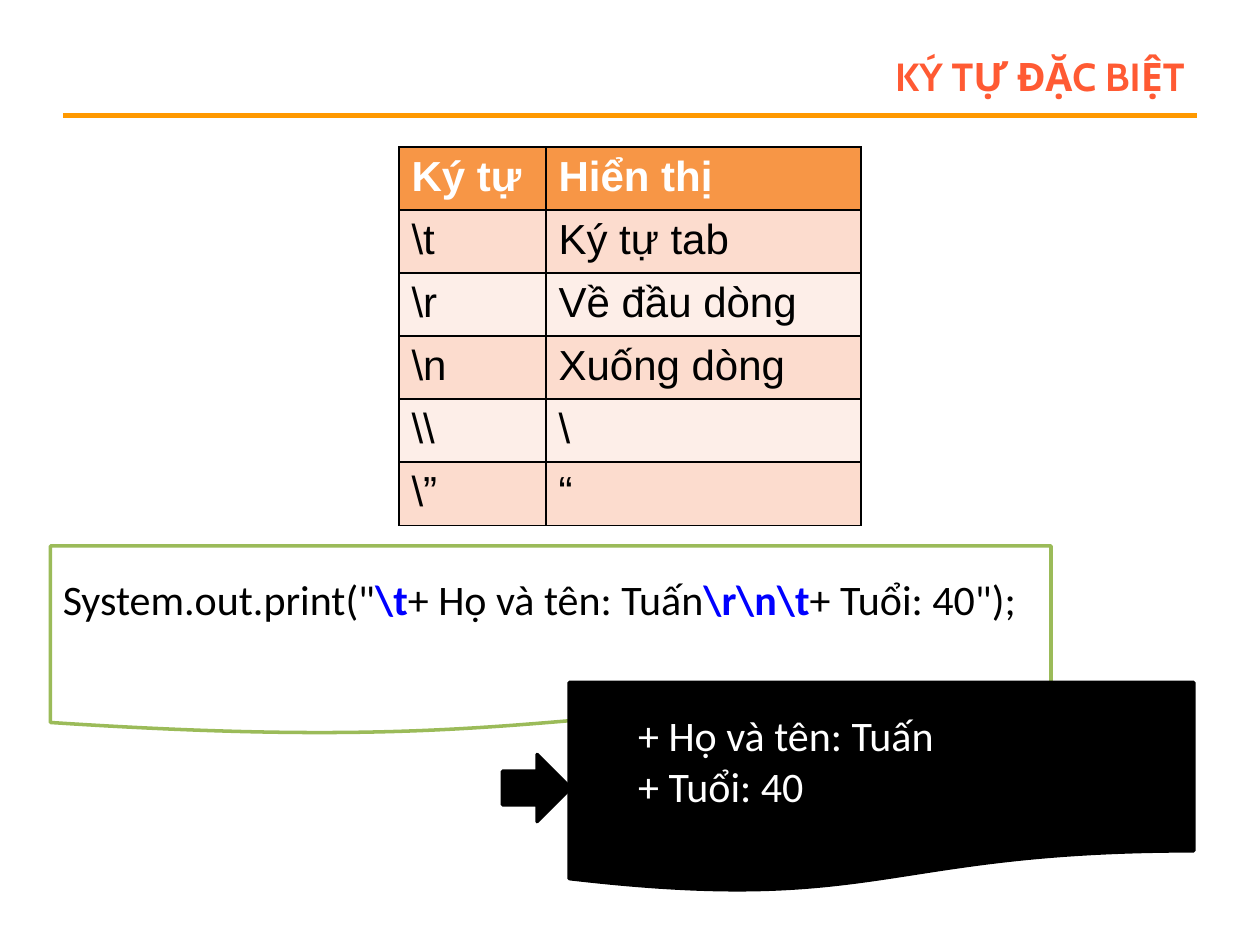
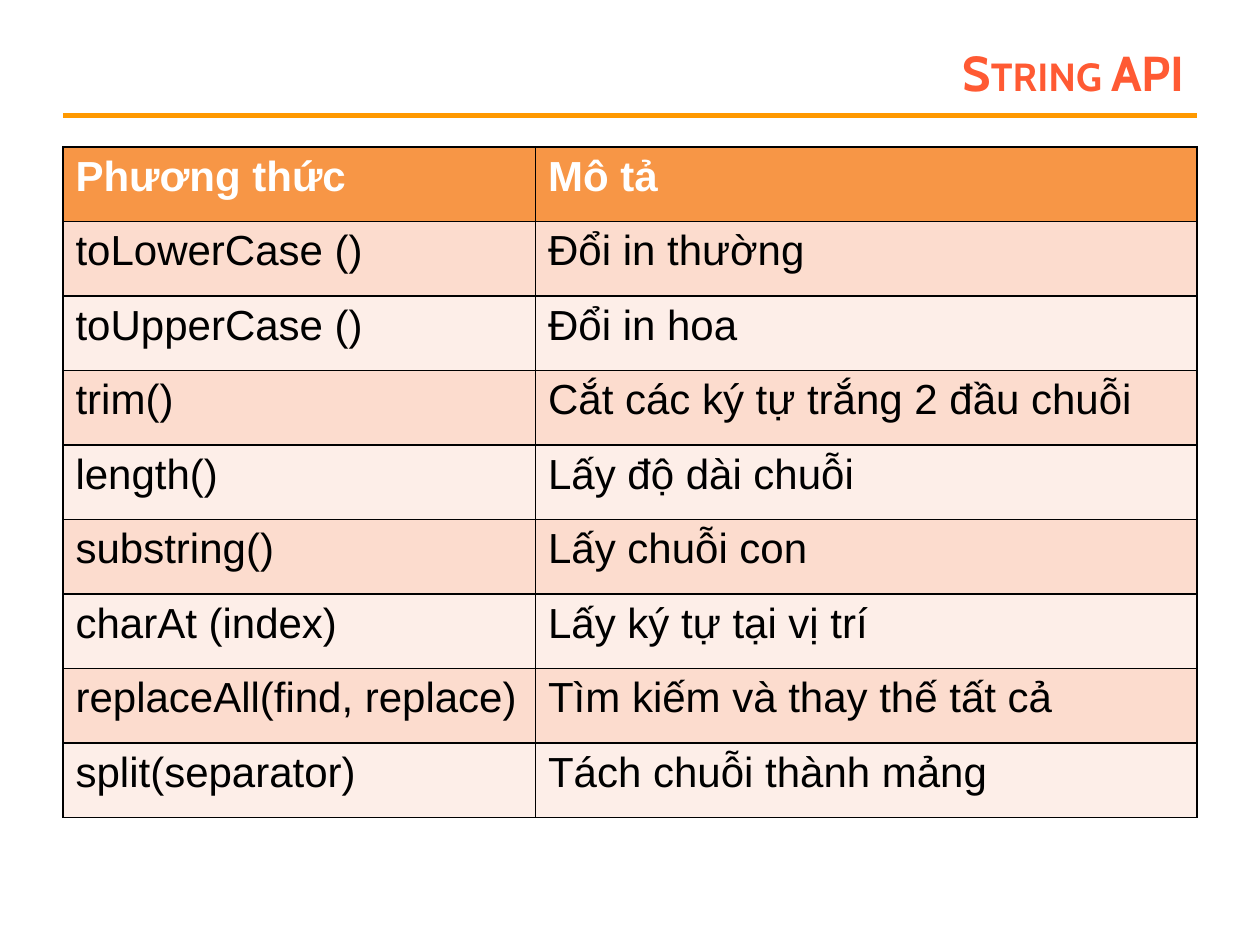
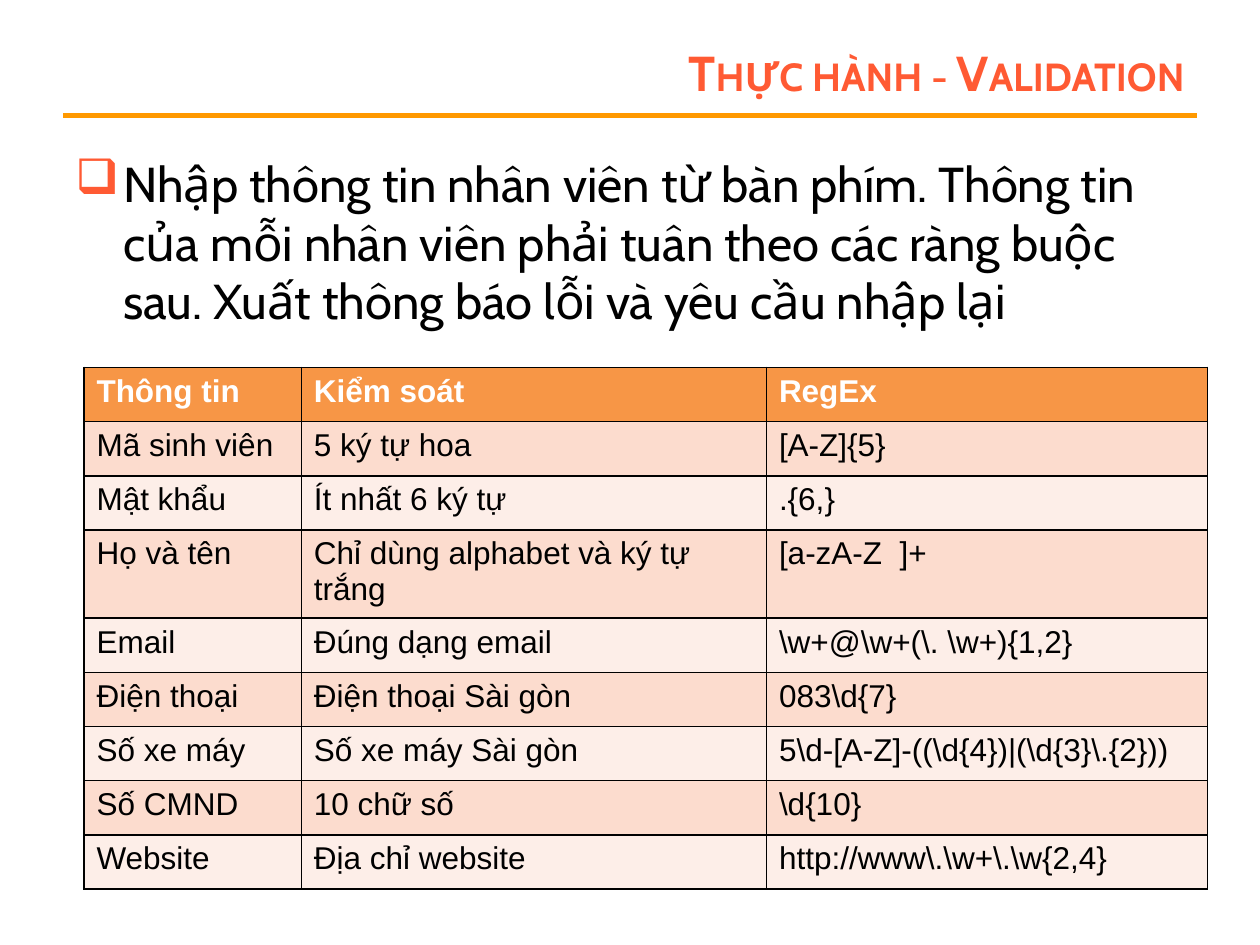
import pptx
import pptx.util
import pptx.dml.color
import pptx.enum.shapes
import pptx.enum.text
import pptx.oxml.ns
from lxml import etree

Inches = pptx.util.Inches
Pt = pptx.util.Pt
SHAPES = pptx.enum.shapes.MSO_SHAPE
COLORS = {
    "title": "FF5A33", "rule": "FF9900", "header": "F79646",
    "odd": "FCDCCE", "even": "FDEEE8", "code": "9BBB59",
    "escape": "0000FF", "black": "000000", "white": "FFFFFF",
}
WIDTH, HEIGHT = Inches(10), Inches(7.5)
COLUMN, ROW = WIDTH / 120, HEIGHT / 90
TITLE = {"size": Pt(28), "name": "Cabin", "bold": True, "color": "title"}
BODY = {"size": Pt(28), "name": "Cabin", "color": "black"}
CODE = {"size": Pt(24), "name": "Calibri", "color": "black"}
ESCAPE = {**CODE, "bold": True, "color": "escape"}
OUTPUT = {**CODE, "color": "white"}

CHARACTERS = [
    ("Ký tự", "Hiển thị"),
    (r"\t", "Ký tự tab"),
    (r"\r", "Về đầu dòng"),
    (r"\n", "Xuống dòng"),
    ("\\\\", "\\"),
    (r"\”", "“"),
]
METHODS = [
    ("Phương thức", "Mô tả"),
    ("toLowerCase ()", "Đổi in thường"),
    ("toUpperCase ()", "Đổi in hoa"),
    ("trim()", "Cắt các ký tự trắng 2 đầu chuỗi"),
    ("length()", "Lấy độ dài chuỗi"),
    ("substring()", "Lấy chuỗi con"),
    ("charAt (index)", "Lấy ký tự tại vị trí"),
    ("replaceAll(find, replace)", "Tìm kiếm và thay thế tất cả"),
    ("split(separator)", "Tách chuỗi thành mảng"),
]
CONSTRAINTS = [
    ("Thông tin", "Kiểm soát", "RegEx"),
    ("Mã sinh viên", "5 ký tự hoa", "[A-Z]{5}"),
    ("Mật khẩu", "Ít nhất 6 ký tự", ".{6,}"),
    ("Họ và tên", "Chỉ dùng alphabet và ký tự trắng", "[a-zA-Z  ]+"),
    ("Email", "Đúng dạng email", r"\w+@\w+(\. \w+){1,2}"),
    ("Điện thoại", "Điện thoại Sài gòn", r"083\d{7}"),
    ("Số xe máy", "Số xe máy Sài gòn", r"5\d-[A-Z]-((\d{4})|(\d{3}\.{2}))"),
    ("Số CMND", "10 chữ số", r"\d{10}"),
    ("Website", "Địa chỉ website", r"http://www\.\w+\.\w{2,4}"),
]


def rgb(name):
    return pptx.dml.color.RGBColor.from_string(COLORS[name])


def place(left, top, width, height):
    return (round(left * COLUMN), round(top * ROW),
            round(width * COLUMN), round(height * ROW))


def add_element(parent, tag, **attributes):
    return etree.SubElement(parent, pptx.oxml.ns.qn(tag), attributes)


def add_color(parent, name):
    add_element(add_element(parent, "a:solidFill"), "a:srgbClr", val=COLORS[name])


def add_span(para, text, style):
    span = para.add_run()
    span.text = text
    for key, value in style.items():
        if key == "color":
            span.font.color.rgb = rgb(value)
        else:
            setattr(span.font, key, value)
    return span


def add_box(page, area):
    box = page.shapes.add_textbox(*place(*area))
    box.text_frame.word_wrap = True
    return box.text_frame


def add_figure(page, preset, area, fill, line, weight=2):
    figure = page.shapes.add_shape(preset, *place(*area))
    figure.shadow.inherit = False
    if fill:
        figure.fill.solid()
        figure.fill.fore_color.rgb = rgb(fill)
    else:
        figure.fill.background()
    figure.line.color.rgb = rgb(line)
    figure.line.width = Pt(weight)
    return figure


def add_page(deck, title):
    page = deck.slides.add_slide(deck.slide_layouts[6])
    left, top, width, _ = place(6, 11, 108, 0)
    rule = page.shapes.add_connector(
        pptx.enum.shapes.MSO_CONNECTOR.STRAIGHT, left, top, left + width, top)
    rule.line.color.rgb = rgb("rule")
    rule.line.width = Pt(3)
    add_element(rule._element.spPr, "a:effectLst")
    frame = add_box(page, (27, 3.6, 87, 6.4))
    frame.vertical_anchor = pptx.enum.text.MSO_ANCHOR.MIDDLE
    para = frame.paragraphs[0]
    para.alignment = pptx.enum.text.PP_ALIGN.RIGHT
    span = add_span(para, title, TITLE)
    span.font._element.set("cap", "small")
    return page


def add_borders(cell):
    properties = cell._tc.get_or_add_tcPr()
    for side in ("a:lnL", "a:lnR", "a:lnT", "a:lnB"):
        add_color(add_element(properties, side, w=str(Pt(1))), "black")


def add_grid(page, corner, widths, row_height, size, records):
    area = place(*corner, sum(widths), row_height * len(records))
    table = page.shapes.add_table(len(records), len(widths), *area).table
    for column, width in zip(table.columns, widths):
        column.width = round(width * COLUMN)
    for index, record in enumerate(records):
        table.rows[index].height = round(row_height * ROW)
        heading = index == 0
        band = "header" if heading else ("even", "odd")[index % 2]
        style = {"size": Pt(size), "name": "Arial", "bold": heading,
                 "color": "white" if heading else "black"}
        for cell, text in zip(table.rows[index].cells, record):
            add_borders(cell)
            cell.fill.solid()
            cell.fill.fore_color.rgb = rgb(band)
            add_span(cell.text_frame.paragraphs[0], text, style)


def add_bullet(page, area, text):
    para = add_box(page, area).paragraphs[0]
    properties = para._p.get_or_add_pPr()
    indent = Inches(0.38)
    properties.set("marL", str(indent))
    properties.set("indent", str(-indent))
    color = add_element(properties, "a:buClr")
    add_element(color, "a:srgbClr", val=COLORS["title"])
    add_element(properties, "a:buChar", char="❑")
    add_span(para, text, BODY)


def add_code(page):
    para = add_box(page, (4.8, 54, 95.3, 6)).paragraphs[0]
    for text, style in [
        ('System.out.print("', CODE), (r"\t", ESCAPE),
        ("+ Họ và tên: Tuấn", CODE), (r"\r\n\t", ESCAPE),
        ('+ Tuổi: 40");', CODE),
    ]:
        add_span(para, text, style)


def add_output(page, lines):
    add_figure(page, SHAPES.FLOWCHART_DOCUMENT, (54.2, 65, 59.5, 20), "black", "black")
    screen = add_figure(page, SHAPES.RECTANGLE, (54.2, 67, 59.5, 10.9), None, "black", 0.75)
    frame = screen.text_frame
    frame.word_wrap = True
    frame.vertical_anchor = pptx.enum.text.MSO_ANCHOR.TOP
    for index, line in enumerate(lines):
        para = frame.add_paragraph() if index else frame.paragraphs[0]
        para.alignment = pptx.enum.text.PP_ALIGN.LEFT
        para._p.get_or_add_pPr().set("marL", str(Inches(0.45)))
        add_span(para, line, OUTPUT)


def build_characters(deck):
    page = add_page(deck, "ký tự đặc biệt")
    add_figure(page, SHAPES.FLOWCHART_DOCUMENT, (4.8, 52, 95.3, 18), "white", "code")
    add_grid(page, (38, 14), (14, 30), 5, 24, CHARACTERS)
    add_code(page)
    arrow = add_figure(page, SHAPES.UP_ARROW, (47.9, 71.8, 6.4, 6.5), "black", "black")
    arrow.rotation = 90
    add_output(page, ["+ Họ và tên: Tuấn", "+ Tuổi: 40"])


def build_methods(deck):
    page = add_page(deck, "String API")
    add_grid(page, (6, 14), (45, 63), 7.1, 24, METHODS)


def build_validation(deck):
    page = add_page(deck, "Thực hành - Validation")
    add_bullet(page, (6, 14, 108, 69),
               "Nhập thông tin nhân viên từ bàn phím. Thông tin của mỗi nhân viên "
               "phải tuân theo các ràng buộc sau. Xuất thông báo lỗi và yêu cầu nhập lại")
    add_grid(page, (8, 35), (20.7, 44.3, 42), 5.16, 18, CONSTRAINTS)


def main():
    deck = pptx.Presentation()
    deck.slide_width, deck.slide_height = WIDTH, HEIGHT
    build_characters(deck)
    build_methods(deck)
    build_validation(deck)
    deck.save("out.pptx")


if __name__ == "__main__":
    main()
